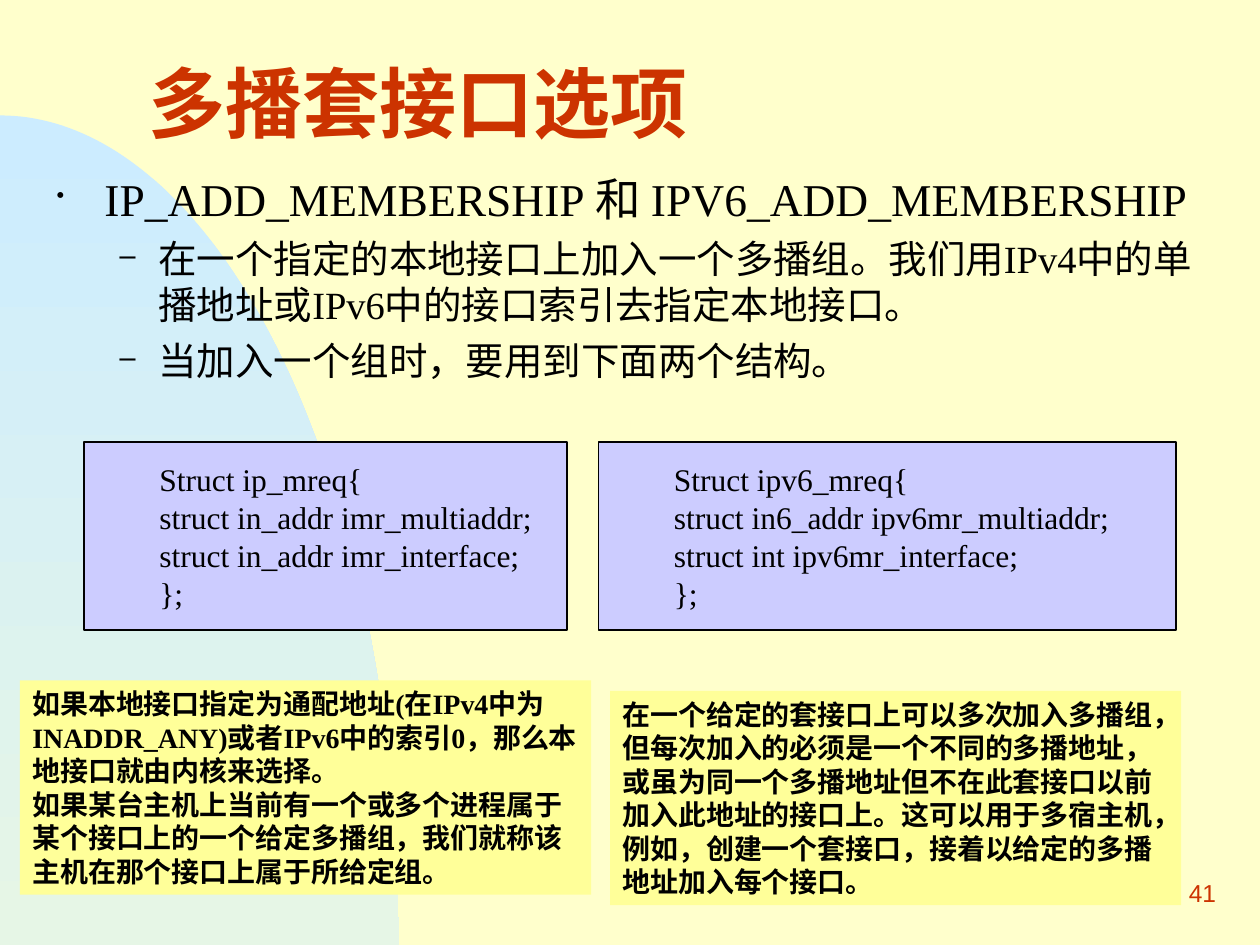
import math

import pptx
import pptx.dml.color
import pptx.enum.shapes
import pptx.enum.text
import pptx.oxml
import pptx.oxml.ns
import pptx.util

RGB = pptx.dml.color.RGBColor
ALIGN = pptx.enum.text.PP_ALIGN
ANCHOR = pptx.enum.text.MSO_ANCHOR
CREAM = RGB(0xFF, 0xFF, 0xCC)
SKY = RGB(0xCC, 0xEC, 0xFF)
MINT = RGB(0xE6, 0xF6, 0xE6)
RED = RGB(0xCC, 0x33, 0x00)
BLACK = RGB(0x00, 0x00, 0x00)
LILAC = RGB(0xCC, 0xCC, 0xFF)
YELLOW = RGB(0xFF, 0xFF, 0x99)

COLS, ROWS = 120, 90
CELL = pptx.util.Inches(10) // COLS
SERIF = "Times New Roman"

TITLE = {"name": "Arial Narrow", "size": 44, "bold": True, "color": RED}
TOPIC = {"name": SERIF, "size": 26, "color": BLACK}
DETAIL = {"name": SERIF, "size": 22, "color": BLACK}
CODE = {"name": SERIF, "size": 18, "color": BLACK}
NOTE = {"name": SERIF, "size": 16, "bold": True, "color": BLACK}
NUMBER = {"name": "Arial", "size": 14, "color": RED}

# style, left margin and indent in inches, space before, bullet and its size in percent
TOPIC_LEVEL = (TOPIC, 0.38, -0.38, 0, "•", 50)
DETAIL_LEVEL = (DETAIL, 0.81, -0.31, 5.5, "–", 75)

BODY = [
    (TOPIC_LEVEL, "IP_ADD_MEMBERSHIP 和 IPV6_ADD_MEMBERSHIP"),
    (DETAIL_LEVEL, "在一个指定的本地接口上加入一个多播组。我们用IPv4中的单播地址或IPv6中的接口索引去指定本地接口。"),
    (DETAIL_LEVEL, "当加入一个组时，要用到下面两个结构。"),
]
STRUCTS = [
    (8, 46, ["Struct ip_mreq{", "struct in_addr imr_multiaddr;",
             "struct in_addr imr_interface;", "};"]),
    (57, 55, ["Struct ipv6_mreq{", "struct in6_addr ipv6mr_multiaddr;",
              "struct int ipv6mr_interface;", "};"]),
]
NOTES = [
    (1.9, 64.8, ["如果本地接口指定为通配地址(在IPv4中为INADDR_ANY)或者IPv6中的索引0，那么本地接口就由内核来选择。",
                 "如果某台主机上当前有一个或多个进程属于某个接口上的一个给定多播组，我们就称该主机在那个接口上属于所给定组。"]),
    (58.1, 65.8, ["在一个给定的套接口上可以多次加入多播组，但每次加入的必须是一个不同的多播地址，或虽为同一个多播地址但不在此套接口以前加入此地址的接口上。这可以用于多宿主机，例如，创建一个套接口，接着以给定的多播地址加入每个接口。"]),
]


def cells(*counts):
    return [round(n * CELL) for n in counts]


class SlideBuilder:
    """Places elements by columns and rows of a 120 x 90 grid."""

    def __init__(self, prs):
        self.s = prs.slides.add_slide(prs.slide_layouts[6])
        self.s.background.fill.solid()
        self.s.background.fill.fore_color.rgb = CREAM

    def quarter_ellipse(self, width, top, steps=90):
        """Draws the decoration in the bottom left corner, with a vertical gradient."""
        height = ROWS - top
        angles = [i * math.pi / 2 / steps for i in range(steps + 1)]
        points = [cells(width * math.sin(a), ROWS - height * math.cos(a)) for a in angles]
        builder = self.s.shapes.build_freeform(*points[0])
        builder.add_line_segments(points[1:] + [cells(0, ROWS)], close=True)
        sp = builder.convert_to_shape()
        sp.shadow.inherit = False
        sp.line.fill.background()
        sp.fill.gradient()
        sp.fill.gradient_angle = 270
        for stop, color in zip(sp.fill.gradient_stops, (SKY, MINT)):
            stop.color.rgb = color

    def run(self, p, text, style):
        r = p.add_run()
        r.text = text
        for key, value in style.items():
            if key == "color":
                r.font.color.rgb = value
            else:
                setattr(r.font, key, pptx.util.Pt(value) if key == "size" else value)

    def bullet(self, p, left, indent, char, percent):
        pPr = p._p.get_or_add_pPr()
        pPr.set("marL", str(pptx.util.Inches(left)))
        pPr.set("indent", str(pptx.util.Inches(indent)))
        ns = pptx.oxml.ns.nsdecls("a")
        for xml in (f'<a:buClr {ns}><a:srgbClr val="{BLACK}"/></a:buClr>',
                    f'<a:buSzPct {ns} val="{percent * 1000}"/>',
                    f'<a:buChar {ns} char="{char}"/>'):
            pPr.append(pptx.oxml.parse_xml(xml))

    def paragraphs(self, sp, count, anchor):
        tf = sp.text_frame
        tf.word_wrap = True
        tf.vertical_anchor = anchor
        for _ in range(count - 1):
            tf.add_paragraph()
        return tf.paragraphs

    def text(self, box, text, style, align=ALIGN.LEFT, spacing=1.0):
        sp = self.s.shapes.add_textbox(*cells(*box))
        p = self.paragraphs(sp, 1, ANCHOR.MIDDLE)[0]
        p.alignment = align
        p.line_spacing = spacing
        self.run(p, text, style)

    def outline(self, box, items):
        sp = self.s.shapes.add_textbox(*cells(*box))
        for p, (level, text) in zip(self.paragraphs(sp, len(items), ANCHOR.TOP), items):
            style, left, indent, before, char, percent = level
            self.bullet(p, left, indent, char, percent)
            p.space_before = pptx.util.Pt(before)
            self.run(p, text, style)

    def panel(self, box, lines, style, fill, border=None, anchor=ANCHOR.TOP, margin=0):
        sp = self.s.shapes.add_shape(pptx.enum.shapes.MSO_SHAPE.RECTANGLE, *cells(*box))
        sp.shadow.inherit = False
        sp.fill.solid()
        sp.fill.fore_color.rgb = fill
        if border is None:
            sp.line.fill.background()
        else:
            sp.line.color.rgb = border
            sp.line.width = pptx.util.Pt(0.75)
        for p, line in zip(self.paragraphs(sp, len(lines), anchor), lines):
            p.alignment = ALIGN.LEFT
            p._p.get_or_add_pPr().set("marL", str(pptx.util.Inches(margin)))
            self.run(p, line, style)


def main():
    prs = pptx.Presentation()
    prs.slide_width, prs.slide_height = cells(COLS, ROWS)
    page = SlideBuilder(prs)
    page.quarter_ellipse(width=38, top=11)
    page.text((13, 5.3, 102, 11), "多播套接口选项", TITLE, spacing=0.7)
    page.outline((4.2, 15.7, 112.9, 71.8), BODY)
    for left, width, lines in STRUCTS:
        page.panel((left, 42.1, width, 17.9), lines, CODE, LILAC,
                   border=BLACK, anchor=ANCHOR.MIDDLE, margin=0.5)
    for left, top, lines in NOTES:
        page.panel((left, top, 54.4, 20.4), lines, NOTE, YELLOW)
    page.text((92, 82, 25, 6), "41", NUMBER, align=ALIGN.RIGHT)
    prs.save("out.pptx")


if __name__ == "__main__":
    main()
